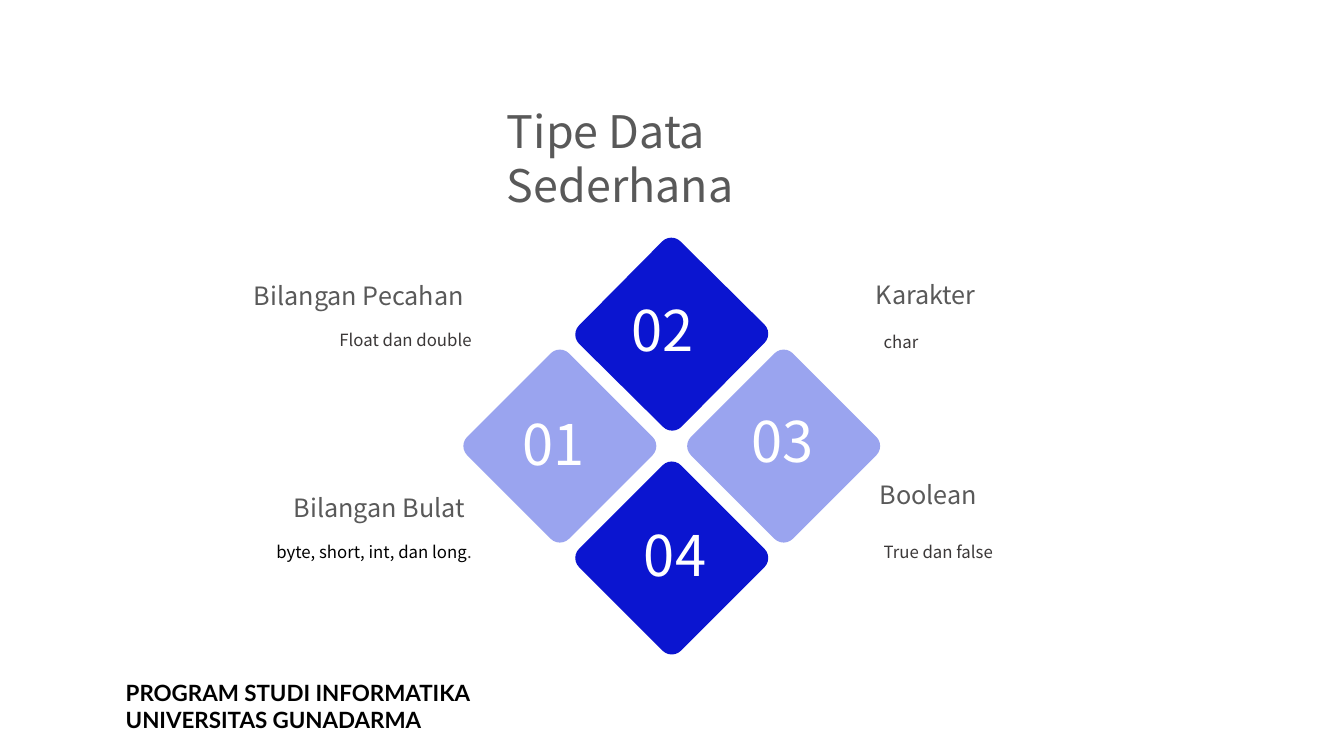
"""Build the slide on simple data types with four numbered diamonds."""
import pptx
import pptx.util
import pptx.dml.color
import pptx.enum.shapes
import pptx.enum.text

Cm = pptx.util.Cm
ALIGN = pptx.enum.text.PP_ALIGN
SANS = "Noto Sans CJK SC"
BLUE, LILAC = "0B15D0", "9AA4EF"

STYLES = {
    "title": {"name": SANS, "size": 32, "color": "595959"},
    "number": {"name": SANS, "size": 40, "color": "FFFFFF"},
    "heading": {"name": SANS, "size": 18, "color": "595959"},
    "detail": {"name": SANS, "size": 12, "color": "3B3838"},
    "black": {"name": SANS, "size": 12, "color": "000000"},
    "footer": {"name": "Lato", "size": 16, "color": "000000", "bold": True},
}

TITLE = ("Tipe Data Sederhana", (12.52, 2.49, 9.5, 1.63))
FOOTER = (["PROGRAM STUDI INFORMATIKA", "UNIVERSITAS GUNADARMA"],
          (2.92, 16.99, 16.66, 1.63))

CENTRE, STEP, SIDE = (16.93, 11.24), 2.82, 3.63
DIAMONDS = [(1, 0, LILAC, 315), (0, -1, BLUE, 314.7),
            (0, 1, BLUE, 315), (-1, 0, LILAC, 315)]

NUMBERS = [
    ("01", (12.93, 10.19, 2.39, 1.96)),
    ("02", (15.67, 7.32, 2.74, 1.96)),
    ("03", (18.69, 10.13, 2.79, 1.96)),
    ("04", (15.98, 12.98, 2.44, 1.96)),
]
HEADINGS = [
    ("Karakter", (21.82, 6.91, 10.06, 1.02), ALIGN.LEFT),
    ("Boolean", (21.92, 11.96, 9.96, 1.02), ALIGN.LEFT),
    ("Bilangan Pecahan", (2.11, 6.93, 9.83, 1.02), ALIGN.RIGHT),
    ("Bilangan Bulat", (6.43, 12.29, 5.54, 1.02), ALIGN.RIGHT),
]
DETAILS = [
    ([("char", "detail")], (22.02, 7.98, 10.03, 1.02), ALIGN.LEFT),
    ([("True dan false", "detail")], (22.02, 13.28, 10.03, 1.02), ALIGN.LEFT),
    ([("Float dan double", "detail")], (2.11, 7.92, 10.03, 1.02), ALIGN.RIGHT),
    ([("byte, short, int, dan long", "black"), (".", "detail")],
     (2.11, 13.28, 10.03, 1.02), ALIGN.RIGHT),
]


def rgb(value):
    return pptx.dml.color.RGBColor.from_string(value)


def write(sp, paragraphs, align=ALIGN.LEFT, spacing=None):
    tf = sp.text_frame
    frame = {"word_wrap": True, "vertical_anchor": pptx.enum.text.MSO_ANCHOR.TOP,
             "auto_size": pptx.enum.text.MSO_AUTO_SIZE.SHAPE_TO_FIT_TEXT}
    for key, value in frame.items():
        setattr(tf, key, value)
    for i, runs in enumerate(paragraphs):
        p = tf.add_paragraph() if i else tf.paragraphs[0]
        p.alignment = align
        if spacing:
            p.line_spacing = spacing
        for text, style in runs:
            r = p.add_run()
            r.text = text
            for key, value in STYLES[style].items():
                if key == "color":
                    r.font.color.rgb = rgb(value)
                else:
                    setattr(r.font, key, pptx.util.Pt(value) if key == "size" else value)


def add_text(s, box, paragraphs, align=ALIGN.LEFT, spacing=None):
    write(s.shapes.add_textbox(*map(Cm, box)), paragraphs, align, spacing)


def add_diamond(s, dx, dy, color, angle):
    left = CENTRE[0] + dx * STEP - SIDE / 2
    top = CENTRE[1] + dy * STEP - SIDE / 2
    sp = s.shapes.add_shape(pptx.enum.shapes.MSO_SHAPE.ROUNDED_RECTANGLE,
                            Cm(left), Cm(top), Cm(SIDE), Cm(SIDE))
    sp.adjustments[0] = 0.09
    sp.rotation = angle
    sp.shadow.inherit = False
    sp.fill.solid()
    sp.fill.fore_color.rgb = rgb(color)
    sp.line.fill.background()


def main():
    prs = pptx.Presentation()
    prs.slide_width, prs.slide_height = Cm(33.87), Cm(19.05)
    s = prs.slides.add_slide(prs.slide_layouts[5])

    title, box = TITLE
    sp = s.shapes.title
    for key, value in zip(("left", "top", "width", "height"), box):
        setattr(sp, key, Cm(value))
    write(sp, [[(title, "title")]])

    lines, box = FOOTER
    add_text(s, box, [[(line, "footer")] for line in lines])
    for diamond in DIAMONDS:
        add_diamond(s, *diamond)
    for text, box in NUMBERS:
        add_text(s, box, [[(text, "number")]])
    for text, box, align in HEADINGS:
        add_text(s, box, [[(text, "heading")]], align)
    for runs, box, align in DETAILS:
        add_text(s, box, [runs], align, 1.5)

    prs.save("out.pptx")


if __name__ == "__main__":
    main()
